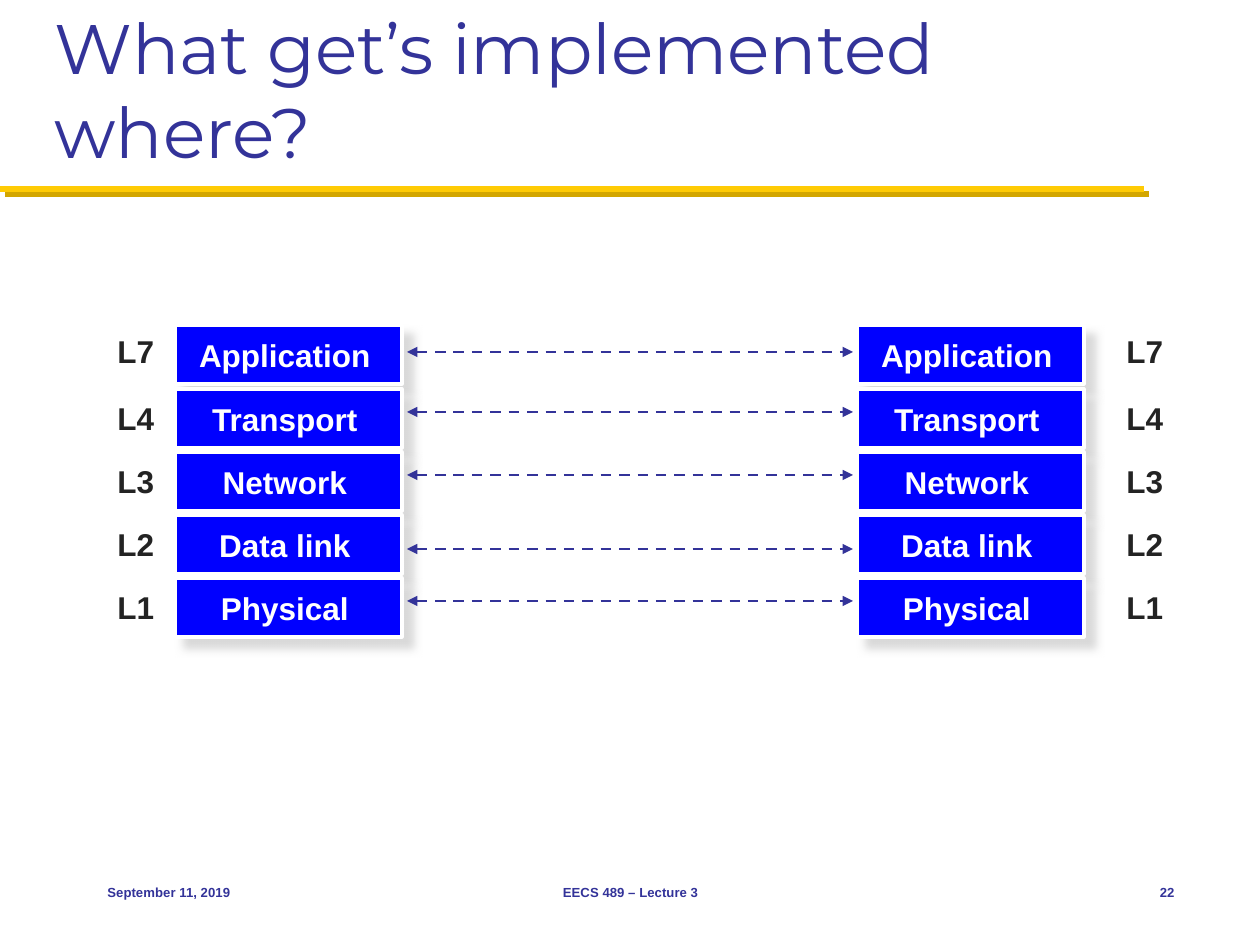
from dataclasses import dataclass

from lxml import etree
from pptx import Presentation, util as u
from pptx.dml.color import RGBColor
from pptx.enum import dml, shapes, text
from pptx.oxml.ns import qn

COLORS = {"navy": "333399", "blue": "0000FF", "white": "FFFFFF", "ink": "232323",
          "gold": "FFCB05", "ochre": "D3A600", "gray": "CECECE"}
A, P = text.MSO_ANCHOR, text.PP_ALIGN


@dataclass
class Layer:
    tag: str
    name: str
    top: int
    face: int  # width of the box that holds the name
    mark: int  # top of the tag
    link: int  # height of the arrow


@dataclass
class Stack:
    left: int
    tag: int


@dataclass
class Note:
    words: str
    box: tuple
    align: P


@dataclass
class Style:
    size: float
    color: str
    font: str = "Arial"
    bold: bool = False
    align: P = P.LEFT
    anchor: A = A.TOP
    wrap: bool = False


LAYERS = [
    Layer("L7", "Application", 325, 213, 326, 352),
    Layer("L4", "Transport", 389, 183, 393, 412),
    Layer("L3", "Network", 452, 160, 456, 475),
    Layer("L2", "Data link", 515, 168, 519, 549),
    Layer("L1", "Physical", 578, 164, 582, 601),
]
STACKS = [Stack(175, 105), Stack(857, 1114)]
NOTES = [
    Note("September 11, 2019", (95, 861, 262, 63), P.LEFT),
    Note("EECS 489 – Lecture 3", (431, 861, 399, 63), P.CENTER),
    Note("22", (1103, 861, 84, 63), P.RIGHT),
]
WIDE, HIGH = 227, 59
TITLE = Style(40, "navy", "Montserrat", anchor=A.BOTTOM, wrap=True)
NAME = Style(18, "white", bold=True, align=P.CENTER, anchor=A.MIDDLE)
TAG = Style(18, "ink", bold=True)


def px(n: float) -> u.Emu:
    return u.Emu(round(n * 914400 / 126))


def rgb(key: str) -> RGBColor:
    return RGBColor.from_string(COLORS[key])


def assign(obj, values: dict) -> None:
    for key, value in values.items():
        setattr(obj, key, value)


def shade(shape, color: str, alpha: int, blur: float, dist: float) -> None:
    """Cast a shadow down and to the right; blur and distance in points."""
    effects = shape._element.spPr.find(qn("a:effectLst"))
    if effects is None:
        effects = etree.SubElement(shape._element.spPr, qn("a:effectLst"))
    outer = etree.SubElement(effects, qn("a:outerShdw"), blurRad=str(u.Pt(blur)),
                             dist=str(u.Pt(dist)), dir="2700000", algn="tl",
                             rotWithShape="0")
    tint = etree.SubElement(outer, qn("a:srgbClr"), val=COLORS[color])
    etree.SubElement(tint, qn("a:alpha"), val=str(alpha * 1000))


def write(shape, words: str, style: Style) -> None:
    frame = shape.text_frame
    assign(frame, {"word_wrap": style.wrap, "vertical_anchor": style.anchor})
    para = frame.paragraphs[0]
    para.alignment = style.align
    run = para.add_run()
    run.text = words
    assign(run.font, {"size": u.Pt(style.size), "name": style.font, "bold": style.bold})
    run.font.color.rgb = rgb(style.color)


def label(slide, words: str, box: tuple, style: Style) -> None:
    write(slide.shapes.add_textbox(*map(px, box)), words, style)


def block(parent, box: tuple, fill: str):
    """Add a plain filled rectangle without line or shadow."""
    rect = parent.shapes.add_shape(shapes.MSO_SHAPE.RECTANGLE, *map(px, box))
    rect.shadow.inherit = False
    rect.fill.solid()
    rect.fill.fore_color.rgb = rgb(fill)
    rect.line.fill.background()
    return rect


def rule(slide, x: int, end: int, y: int, color: str, width: float):
    line = slide.shapes.add_connector(shapes.MSO_CONNECTOR.STRAIGHT,
                                      px(x), px(y), px(end), px(y))
    line.line.color.rgb = rgb(color)
    line.line.width = u.Pt(width)
    etree.SubElement(line._element.spPr, qn("a:effectLst"))
    return line


def arrow(slide, y: int) -> None:
    line = rule(slide, 407, 853, y, "navy", 1.5).line
    line.dash_style = dml.MSO_LINE.DASH
    for end in ("a:headEnd", "a:tailEnd"):
        etree.SubElement(line._get_or_add_ln(), qn(end), type="triangle")


def cell(slide, stack: Stack, layer: Layer) -> None:
    """Draw one layer of a stack with its name and tag."""
    group = slide.shapes.add_group_shape()
    back = block(group, (stack.left, layer.top, WIDE, HIGH), "blue")
    back.line.color.rgb = rgb("white")
    back.line.width = u.Pt(2)
    shade(back, "gray", 75, 5, 8)
    left = stack.left + (WIDE - layer.face) / 2
    face = block(group, (left, layer.top + 5, layer.face, 49), "blue")
    assign(face.text_frame, {"margin_left": px(5), "margin_top": px(5),
                             "margin_bottom": px(5),
                             "auto_size": text.MSO_AUTO_SIZE.SHAPE_TO_FIT_TEXT})
    write(face, layer.name, NAME)
    tag = block(slide, (stack.tag, layer.mark, 63, 50), "white")
    tag.text_frame.auto_size = text.MSO_AUTO_SIZE.SHAPE_TO_FIT_TEXT
    write(tag, layer.tag, TAG)


def main() -> None:
    deck = Presentation()
    assign(deck, {"slide_width": px(1260), "slide_height": px(945)})
    slide = deck.slides.add_slide(deck.slide_layouts[6])
    shade(rule(slide, 0, 1144, 189, "gold", 3.5), "ochre", 100, 0, 4.2)
    label(slide, "What get’s implemented where?", (42, 21, 1176, 158), TITLE)
    for note in NOTES:
        label(slide, note.words, note.box,
              Style(7.5, "navy", bold=True, align=note.align, anchor=A.MIDDLE))
    for layer in LAYERS:
        for stack in STACKS:
            cell(slide, stack, layer)
        arrow(slide, layer.link)
    deck.save("out.pptx")


if __name__ == "__main__":
    main()
